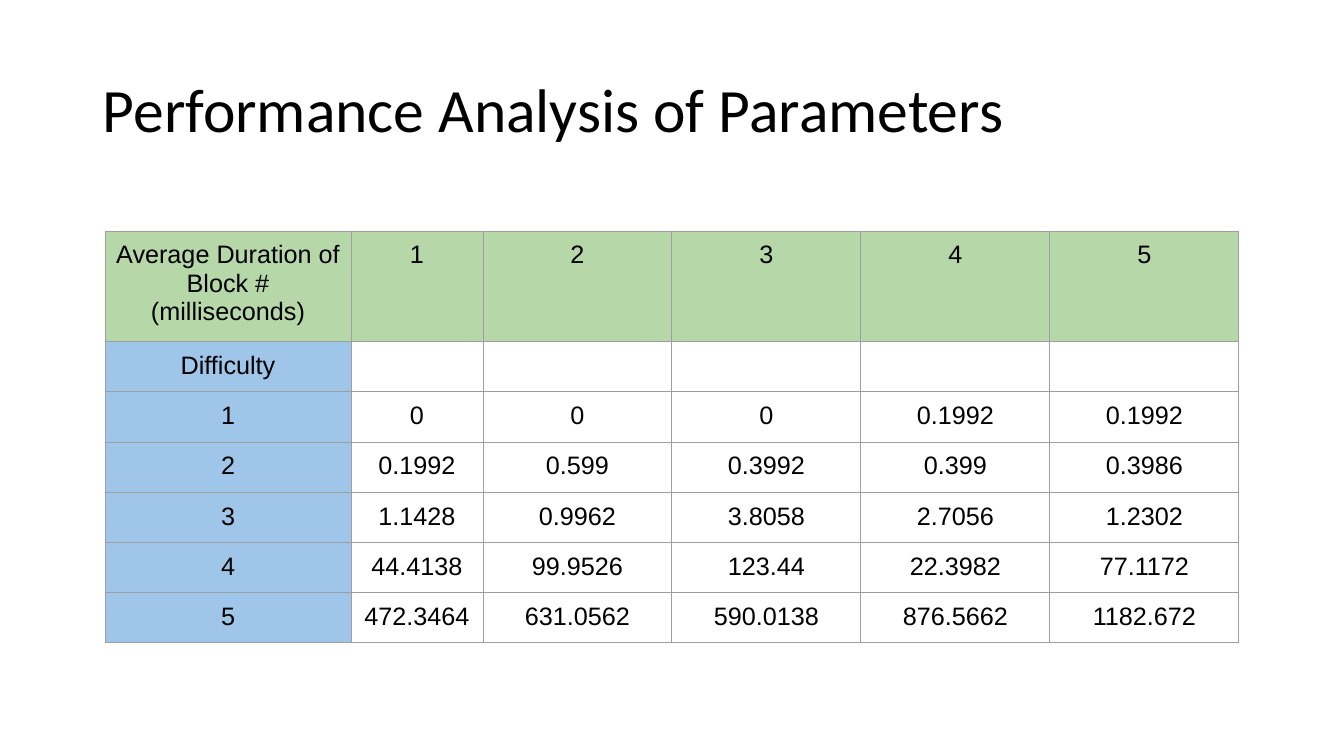
from lxml import etree
from pptx import Presentation
from pptx.dml.color import RGBColor
from pptx.enum.text import MSO_ANCHOR, PP_ALIGN
from pptx.oxml.ns import qn
from pptx.util import Pt

PX = 914400 / 100.8  # EMU in one px
MIDDLE = MSO_ANCHOR.MIDDLE
CENTER = PP_ALIGN.CENTER

BLACK = RGBColor(0x00, 0x00, 0x00)
GREEN = RGBColor(0xB6, 0xD7, 0xA8)
BLUE = RGBColor(0x9F, 0xC5, 0xE8)
GRAY = RGBColor(0x9E, 0x9E, 0x9E)

DURATIONS = [
    ["Average Duration of Block # (milliseconds)", "1", "2", "3", "4", "5"],
    ["Difficulty", "", "", "", "", ""],
    ["1", "0", "0", "0", "0.1992", "0.1992"],
    ["2", "0.1992", "0.599", "0.3992", "0.399", "0.3986"],
    ["3", "1.1428", "0.9962", "3.8058", "2.7056", "1.2302"],
    ["4", "44.4138", "99.9526", "123.44", "22.3982", "77.1172"],
    ["5", "472.3464", "631.0562", "590.0138", "876.5662", "1182.672"],
]
COLUMN_WIDTHS = [246, 132] + [189] * 4
ROW_HEIGHTS = [104] + [48] * 6


def px(length):
    return round(length * PX)


class SlideBuilder:
    title_font, title_size = "Calibri", Pt(44)
    table_font, table_size = "Arial", Pt(18)
    cell_margin = 10
    border_color, border_width = GRAY, Pt(0.75)

    def __init__(self, slide):
        self.slide = slide

    def style_text(self, paragraph, font, size):
        for run in paragraph.runs:
            run.font.name = font
            run.font.size = size
            run.font.color.rgb = BLACK

    def title(self, text, left, top, width, height):
        heading = self.slide.shapes.add_textbox(px(left), px(top), px(width), px(height))
        frame = heading.text_frame
        frame.word_wrap = True
        frame.vertical_anchor = MIDDLE
        frame.text = text
        frame.paragraphs[0].line_spacing = 0.9
        self.style_text(frame.paragraphs[0], self.title_font, self.title_size)

    def border(self, cell):
        properties = cell._tc.get_or_add_tcPr()
        for side in ("a:lnL", "a:lnR", "a:lnT", "a:lnB"):
            line = etree.SubElement(properties, qn(side), w=str(self.border_width))
            fill = etree.SubElement(line, qn("a:solidFill"))
            etree.SubElement(fill, qn("a:srgbClr"), val=str(self.border_color))

    def cell(self, cell, text, color):
        self.border(cell)
        if color is None:
            cell.fill.background()
        else:
            cell.fill.solid()
            cell.fill.fore_color.rgb = color
        if text:
            margin = px(self.cell_margin)
            cell.margin_left = cell.margin_right = margin
            cell.margin_top = cell.margin_bottom = margin
            cell.text_frame.text = text
            paragraph = cell.text_frame.paragraphs[0]
            paragraph.alignment = CENTER
            self.style_text(paragraph, self.table_font, self.table_size)

    def table(self, rows, left, top, widths, heights):
        frame = self.slide.shapes.add_table(
            len(rows), len(widths), px(left), px(top), px(sum(widths)), px(sum(heights)))
        grid = frame.table
        grid.first_row = grid.horz_banding = False
        for column, width in zip(grid.columns, widths):
            column.width = px(width)
        for row, height in zip(grid.rows, heights):
            row.height = px(height)
        for r, values in enumerate(rows):
            for c, value in enumerate(values):
                # Green header row, blue difficulty column, clear body
                color = GREEN if r == 0 else BLUE if c == 0 else None
                self.cell(grid.cell(r, c), value, color)


def main():
    deck = Presentation()
    deck.slide_width, deck.slide_height = px(1344), px(756)
    builder = SlideBuilder(deck.slides.add_slide(deck.slide_layouts[6]))

    # Heading
    builder.title("Performance Analysis of Parameters", 93, 40, 1159, 146)

    # Block durations by difficulty
    builder.table(DURATIONS, 105, 231, COLUMN_WIDTHS, ROW_HEIGHTS)

    deck.save("out.pptx")


if __name__ == "__main__":
    main()
